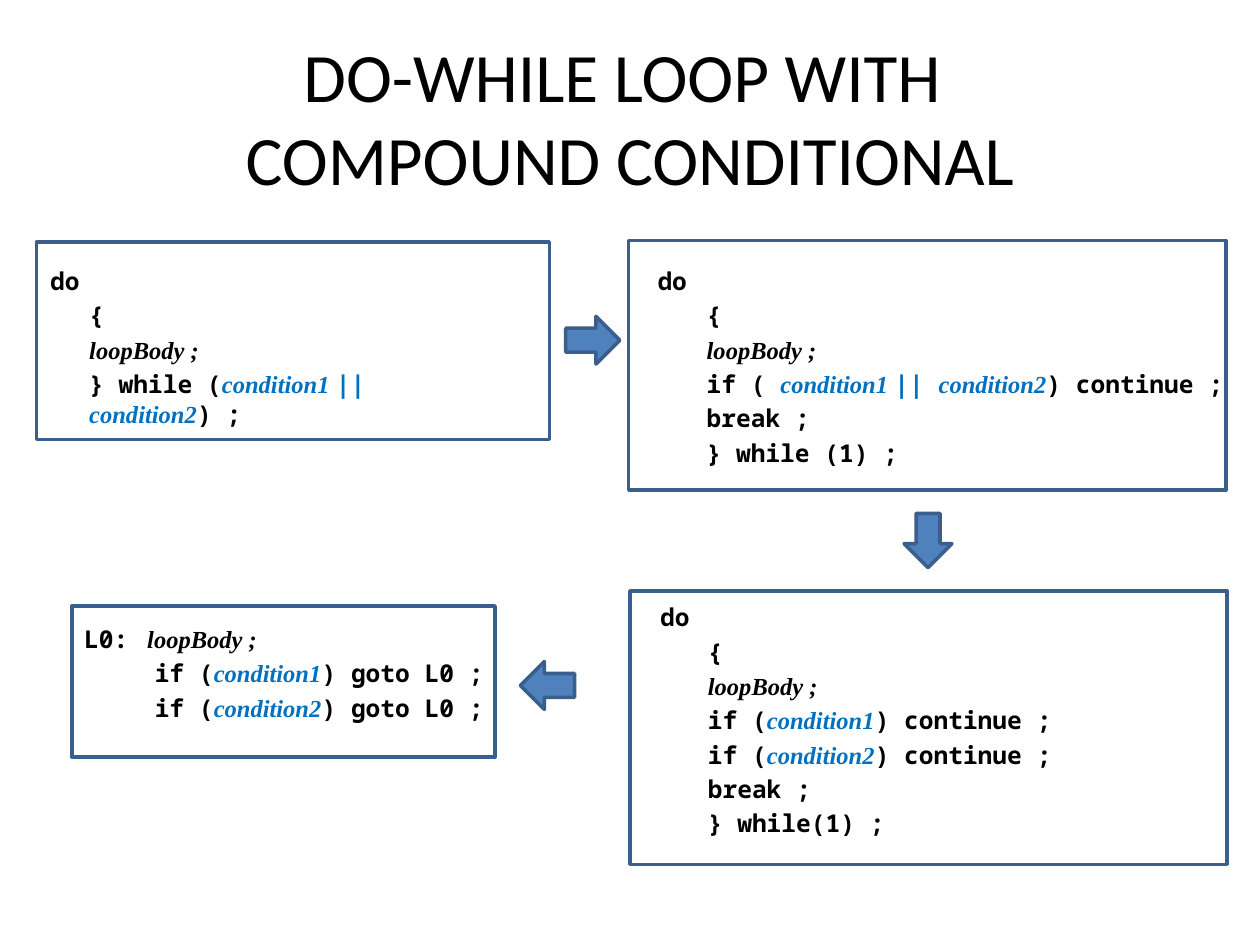
from pptx import Presentation
from pptx.dml.color import RGBColor
from pptx.enum.shapes import MSO_SHAPE as Shape
from pptx.enum.text import MSO_ANCHOR as Anchor, PP_ALIGN as Align
from pptx.util import Inches, Pt

BLACK, BLUE, ARROW_FILL, OUTLINE = "000000", "0070C0", "4F81BD", "3A5F8C"
MONO, SERIF = "Noto Sans Mono", "Times New Roman"

# Content: each run is (style, text), each line is its runs
TITLE = "DO-WHILE LOOP WITH \vCOMPOUND CONDITIONAL"
STYLES = {  # font, colour, italic
    "code": (MONO, BLACK, False),
    "body": (SERIF, BLACK, True),
    "cond": (SERIF, BLUE, True),
    "or": (MONO, BLUE, False),
}


def code(text):
    return [("code", text)]


def test(condition, action):
    return [("code", "if ("), ("cond", condition), ("code", f") {action} ;")]


LOOP_BODY = [("body", "loopBody ;")]
EITHER = [("cond", "condition1 "), ("or", "|| "), ("cond", "condition2")]
OPENING = [code("do"), code("{"), LOOP_BODY]

# Text area, frame, first indent, indent of the rest, right margin, lines
STEPS = [
    ((0.29, 2.06, 4.03, 1.34), (0.29, 1.92, 4.07, 1.57), 0.01, 0.32, 0.6,
     OPENING + [code("} while (") + EITHER + code(") ;")]),
    ((5.12, 2.06, 4.88, 1.83), (4.99, 1.91, 4.74, 1.98), 0, 0.39, 0.1,
     OPENING + [code("if ( ") + EITHER + code(") continue ;"),
                code("break ;"), code("} while (1) ;")]),
    ((5.14, 4.73, 4.45, 2.13), (5, 4.69, 4.74, 2.17), 0, 0.38, 0.1,
     OPENING + [test("condition1", "continue"), test("condition2", "continue"),
                code("break ;"), code("} while(1) ;")]),
    ((0.57, 4.9, 3.62, 0.94), (0.57, 4.81, 3.36, 1.2), 0, 0.56, 0.1,
     [code("L0:\t") + LOOP_BODY,
      test("condition1", "goto L0"), test("condition2", "goto L0")]),
]
ARROWS = [(4.49, 2.51, 0), (7.15, 4.1, 90), (4.13, 5.25, 180)]  # left, top, turn


def color(hex_string):
    return RGBColor.from_string(hex_string)


def inches(box):
    return [Inches(length) for length in box]


def add_outlined(slide, preset, box, fill=None):
    shape = slide.shapes.add_shape(preset, *inches(box))
    shape.shadow.inherit = False
    if fill:
        shape.fill.solid()
        shape.fill.fore_color.rgb = color(fill)
    else:
        shape.fill.background()
    shape.line.color.rgb = color(OUTLINE)
    shape.line.width = Pt(2)
    return shape


def add_code(slide, box, first_indent, indent, right_margin, lines):
    frame = slide.shapes.add_textbox(*inches(box)).text_frame
    frame.word_wrap = True
    frame.margin_right = Inches(right_margin)
    for number, line in enumerate(lines):
        paragraph = frame.add_paragraph() if number else frame.paragraphs[0]
        left = indent if number else first_indent
        paragraph._p.get_or_add_pPr().set("marL", str(Inches(left)))
        paragraph.line_spacing = Pt(17)
        paragraph.space_before = Pt(2.6)
        paragraph.font.size = Pt(14)
        paragraph.font.bold = True
        for style, text in line:
            run = paragraph.add_run()
            run.text = text
            run.font.name, hue, run.font.italic = STYLES[style]
            run.font.color.rgb = color(hue)


def main():
    deck = Presentation()
    deck.slide_width, deck.slide_height = Inches(10), Inches(7.5)
    slide = deck.slides.add_slide(deck.slide_layouts[5])

    # Title
    title = slide.shapes.title
    title.left, title.top, title.width, title.height = inches((0.5, 0.3, 9, 1.25))
    title.text_frame.text = TITLE
    title.text_frame.vertical_anchor = Anchor.MIDDLE
    heading = title.text_frame.paragraphs[0]
    heading.alignment = Align.CENTER
    heading.font.name, heading.font.size = "Calibri", Pt(39.6)
    heading.font.color.rgb = color(BLACK)

    # Code steps and their frames
    for area, frame, *layout in STEPS:
        add_code(slide, area, *layout)
        add_outlined(slide, Shape.RECTANGLE, frame)

    # Arrows from step to step
    for left, top, turn in ARROWS:
        arrow = add_outlined(slide, Shape.RIGHT_ARROW, (left, top, 0.43, 0.38), ARROW_FILL)
        arrow.rotation = turn

    deck.save("out.pptx")


if __name__ == "__main__":
    main()
